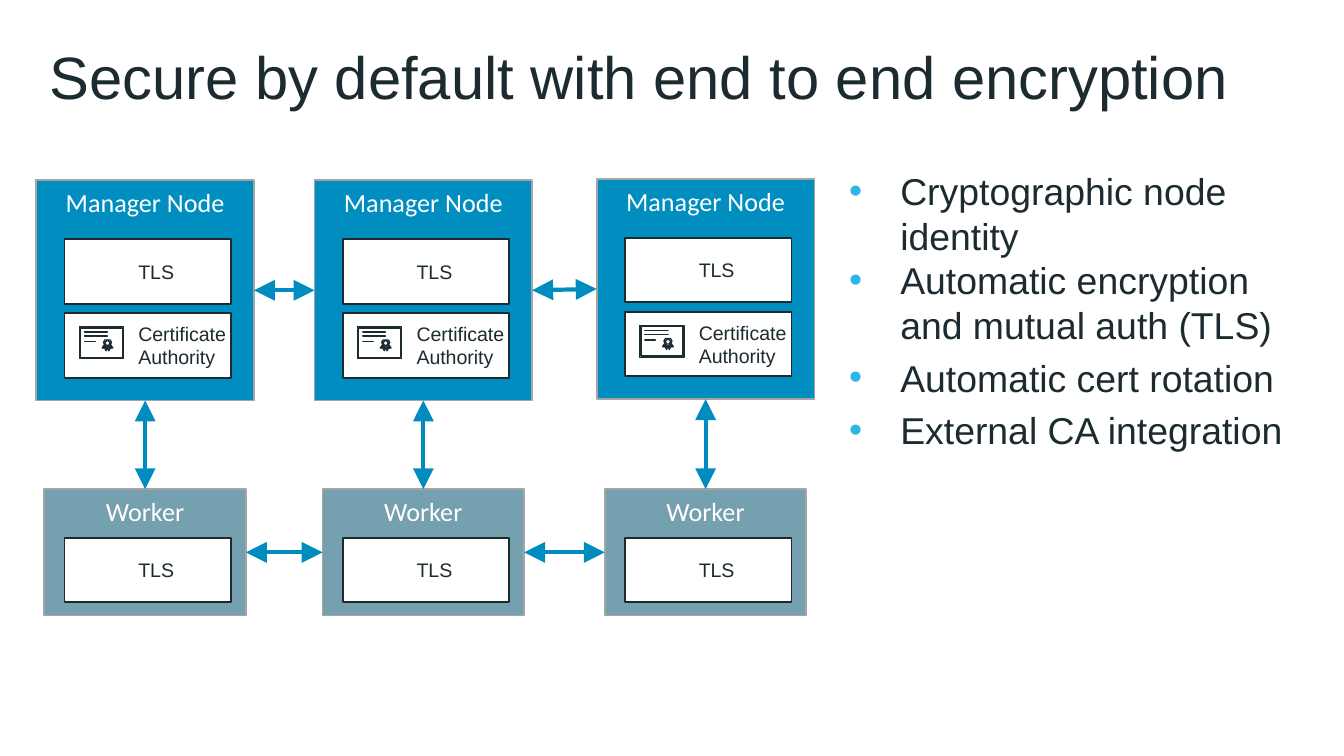
from pptx import Presentation
from pptx.dml.color import RGBColor
from pptx.enum.shapes import MSO_CONNECTOR, MSO_SHAPE
from pptx.enum.text import MSO_ANCHOR, PP_ALIGN
from pptx.oxml.ns import qn
from pptx.util import Inches, Pt
from lxml.etree import SubElement

COLORS = {
    "ink": "1C2B30",
    "white": "FFFFFF",
    "manager": "008EC0",
    "worker": "75A0AF",
    "border": "A5A5A5",
    "arrow": "008CBF",
    "bullet": "2FB5E5",
}
MANAGER_SIZE = (1.62, 1.64)
WORKER_SIZE = (1.5, 0.94)
MANAGER_ORIGINS = [(0.27, 1.34), (2.34, 1.34), (4.44, 1.33)]
WORKER_TOP = 3.64
WORKER_INDENT = 0.06

# Certificate icon outlines, in hundredths of an inch from its top left corner
FRAME = [
    [(0, 0), (33, 0), (33, 24), (0, 24)],
    [(1, 1), (32, 1), (32, 23), (1, 23)],
]
SEAL_AXIS = 21
SEAL_LEFT_EDGE = [(21, 15), (20, 18), (19, 16), (17, 16), (19, 13), (18.5, 12), (19, 10.5), (21, 10)]
SEAL_LEFT_TAIL = [(20, 16), (19, 15), (18, 16), (19, 14), (20.5, 15)]
SEAL_HOLE = [(21, 10.5), (22.5, 11), (23, 12), (22.5, 13.5), (21, 14), (19.5, 13.5), (19, 12), (19.5, 11)]


def rgb(name):
    return RGBColor.from_string(COLORS[name])


def write_text(shape, lines, font="Arial", size=20, color="ink", align=PP_ALIGN.LEFT,
               anchor=MSO_ANCHOR.TOP, insets=(0.1, 0.1, 0.1, 0.1), bullet=None,
               space_before=()):
    """Fill a shape with one paragraph per line; space_before is in points per line."""
    frame = shape.text_frame
    frame.word_wrap = True
    frame.vertical_anchor = anchor
    (frame.margin_left, frame.margin_top,
     frame.margin_right, frame.margin_bottom) = map(Inches, insets)
    for index, line in enumerate(lines):
        paragraph = frame.paragraphs[0] if index == 0 else frame.add_paragraph()
        if bullet:
            add_bullet(paragraph, bullet)
        paragraph.alignment = align
        if space_before and space_before[index]:
            paragraph.space_before = Pt(space_before[index])
        run = paragraph.add_run()
        run.text = line
        run.font.name = font
        run.font.size = Pt(size)
        run.font.color.rgb = rgb(color)


def add_bullet(paragraph, character):
    properties = paragraph._p.get_or_add_pPr()
    properties.set("marL", str(Inches(0.38)))
    properties.set("indent", str(-Inches(0.38)))
    tint = SubElement(properties, qn("a:buClr"))
    SubElement(tint, qn("a:srgbClr"), val=COLORS["bullet"])
    SubElement(properties, qn("a:buFont"), typeface="Arial")
    SubElement(properties, qn("a:buChar"), char=character)


def paint(shape, fill, line, width):
    shape.shadow.inherit = False
    shape.fill.solid()
    shape.fill.fore_color.rgb = rgb(fill)
    shape.line.color.rgb = rgb(line)
    shape.line.width = Pt(width)


def add_box(shapes, left, top, width, height, fill="white", line="ink", line_width=1):
    box = shapes.add_shape(MSO_SHAPE.RECTANGLE, *map(Inches, (left, top, width, height)))
    paint(box, fill, line, line_width)
    return box


def add_outline(shapes, left, top, contours):
    """Draw closed contours as one freeform; inner contours become holes."""
    first, *holes = contours
    builder = shapes.build_freeform(*first[0], scale=Inches(0.01))
    builder.add_line_segments(first[1:], close=True)
    for hole in holes:
        builder.move_to(*hole[0])
        builder.add_line_segments(hole[1:], close=True)
    outline = builder.convert_to_shape(Inches(left), Inches(top))
    paint(outline, "white", "ink", 0.75)


def mirrored(points):
    return [(2 * SEAL_AXIS - x, y) for x, y in reversed(points)]


def add_certificate_icon(shapes, left, top):
    add_outline(shapes, left, top, FRAME)
    for offset, width in [(0.04, 0.17), (0.07, 0.17), (0.11, 0.08)]:
        add_box(shapes, left + 0.04, top + offset, width, 0, line_width=0.75)
    seal = SEAL_LEFT_EDGE + mirrored(SEAL_LEFT_EDGE)[1:-1]
    add_outline(shapes, left, top, [seal, SEAL_LEFT_TAIL, mirrored(SEAL_LEFT_TAIL), SEAL_HOLE])


def add_feature(shapes, left, top, lines):
    feature = add_box(shapes, left, top, 1.24, 0.48)
    write_text(feature, lines, size=10.5, anchor=MSO_ANCHOR.MIDDLE, insets=(0.55, 0.05, 0, 0.05))


def add_node(slide, left, top, size, role, fill):
    """Add the titled box of a node and return the shapes of its group."""
    shapes = slide.shapes.add_group_shape().shapes
    node = add_box(shapes, left, top, *size, fill=fill, line="border")
    write_text(node, [role], font="Calibri", size=14, color="white",
               align=PP_ALIGN.CENTER, insets=(0.1, 0.05, 0.1, 0.05))
    return shapes


def add_manager(slide, left, top):
    shapes = add_node(slide, left, top, MANAGER_SIZE, "Manager Node", "manager")
    add_feature(shapes, left + 0.21, top + 0.99, ["Certificate", "Authority"])
    add_certificate_icon(shapes, left + 0.32, top + 1.09)
    add_feature(shapes, left + 0.21, top + 0.44, ["TLS"])


def add_worker(slide, left, top):
    shapes = add_node(slide, left, top, WORKER_SIZE, "Worker", "worker")
    add_feature(shapes, left + 0.15, top + 0.36, ["TLS"])


def add_double_arrow(slide, start, end):
    arrow = slide.shapes.add_connector(MSO_CONNECTOR.STRAIGHT, *map(Inches, (*start, *end)))
    arrow.line.color.rgb = rgb("arrow")
    arrow.line.width = Pt(2.25)
    line = arrow.line._get_or_add_ln()
    for tip in ("a:headEnd", "a:tailEnd"):
        SubElement(line, qn(tip), type="triangle", w="lg", len="lg")
    SubElement(arrow._element.spPr, qn("a:effectLst"))


def link_neighbours(slide, origins, size):
    """Join the facing side centres of each pair of neighbouring nodes."""
    width, height = size
    for (left, top), (next_left, next_top) in zip(origins, origins[1:]):
        add_double_arrow(slide, (left + width, top + height / 2), (next_left, next_top + height / 2))


def add_text_area(slide, left, top, width, height, lines, **text_format):
    area = slide.shapes.add_textbox(*map(Inches, (left, top, width, height)))
    write_text(area, lines, **text_format)


def main():
    deck = Presentation()
    deck.slide_width = Inches(10)
    deck.slide_height = deck.slide_width * 9 // 16
    slide = deck.slides.add_slide(deck.slide_layouts[6])

    add_text_area(slide, 0.27, 0.23, 9.45, 0.67, ["Secure by default with end to end encryption"],
                  size=32, anchor=MSO_ANCHOR.MIDDLE)
    add_text_area(slide, 6.22, 1.15, 3.68, 3.96, [
        "Cryptographic node identity",
        "Automatic encryption and mutual auth (TLS)",
        "Automatic cert rotation",
        "External CA integration",
    ], bullet="•", space_before=(0, 0, 4, 4))

    worker_origins = [(left + WORKER_INDENT, WORKER_TOP) for left, _ in MANAGER_ORIGINS]
    for origin in MANAGER_ORIGINS:
        add_manager(slide, *origin)
    for origin in worker_origins:
        add_worker(slide, *origin)

    link_neighbours(slide, MANAGER_ORIGINS, MANAGER_SIZE)
    for left, top in MANAGER_ORIGINS:
        middle = left + MANAGER_SIZE[0] / 2
        add_double_arrow(slide, (middle, WORKER_TOP), (middle, top + MANAGER_SIZE[1]))
    link_neighbours(slide, worker_origins, WORKER_SIZE)

    deck.save("out.pptx")


if __name__ == "__main__":
    main()
